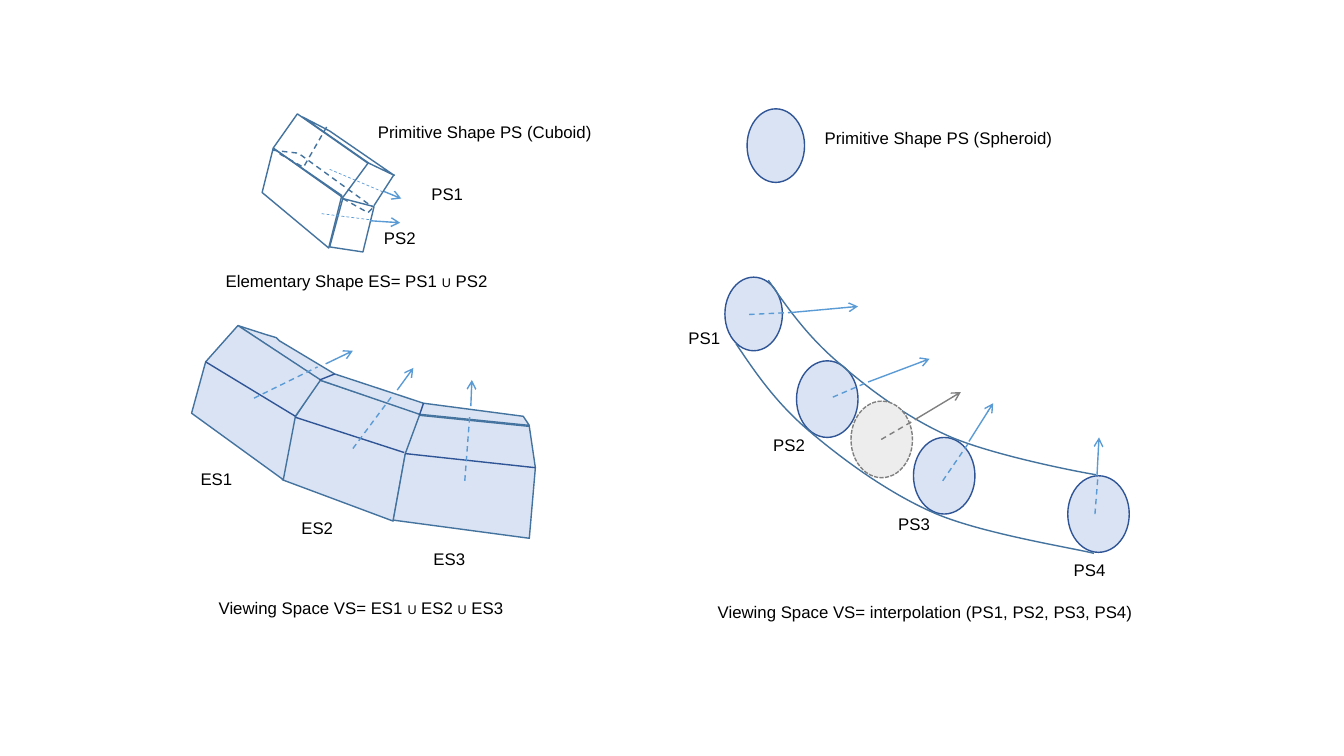
from lxml import etree
from pptx import Presentation
from pptx.dml.color import RGBColor
from pptx.enum.dml import MSO_LINE
from pptx.enum.shapes import MSO_CONNECTOR, MSO_SHAPE
from pptx.enum.text import MSO_AUTO_SIZE
from pptx.oxml.ns import qn
from pptx.util import Inches, Pt

EDGE = RGBColor(0x43, 0x73, 0x9E)
NAVY = RGBColor(0x2F, 0x55, 0x97)
PALE = RGBColor(0xDA, 0xE3, 0xF3)
SKY = RGBColor(0x5B, 0x9B, 0xD5)
GRAY = RGBColor(0x80, 0x80, 0x80)
SILVER = RGBColor(0xED, 0xED, 0xED)
BLACK = RGBColor(0, 0, 0)

CUBOID_FACES = [
    [(2.71, 1.47), (2.6, 1.91), (3.26, 2.46), (3.39, 1.94)],
    [(2.71, 1.47), (2.95, 1.13), (3.65, 1.62), (3.4, 1.96)],
    [(3, 1.16), (3.27, 1.3), (3.91, 1.74), (3.66, 1.62)],
    [(3.27, 2.45), (3.6, 2.5), (3.71, 2.05), (3.4, 1.97)],
]
CUBOID_EDGE = [(3.91, 1.73), (3.71, 2.04)]
CUBOID_HIDDEN = [
    [(3.4, 1.97), (3.65, 2.11), (3.72, 2.04)],
    [(2.7, 1.49), (2.96, 1.52), (3.69, 2.05), (3.7, 2.05)],
    [(3.24, 1.26), (3.01, 1.66), (2.76, 1.52)],
]
# Back to front: ES2, ES3, the shared top, ES1
VIEWING_SPACE = [
    [(2.8, 4.76), (3.9, 5.17), (4.02, 4.51), (4.18, 4.11), (3.17, 3.77), (2.92, 4.15)],
    [(3.9, 5.16), (5.25, 5.34), (5.31, 4.64), (5.25, 4.23), (4.16, 4.12), (4.02, 4.5)],
    [(2.36, 3.23), (2.64, 3.32), (2.74, 3.35), (2.77, 3.38), (3.32, 3.71), (4.2, 4),
     (5.19, 4.13), (5.25, 4.22), (4.16, 4.11), (3.17, 3.77)],
    [(1.9, 4.1), (2.81, 4.76), (2.93, 4.13), (3.18, 3.77), (2.36, 3.23), (2.04, 3.59)],
]
SPACE_EDGES = [
    [(2.04, 3.59), (2.93, 4.13)], [(2.93, 4.14), (4.01, 4.49)],
    [(4.02, 4.5), (5.31, 4.64)], [(4.16, 4.12), (4.2, 4)],
    [(3.17, 3.77), (3.32, 3.71)],
]

SMALL, LARGE = (0.57, 0.73), (0.61, 0.76)
SPHEROIDS = [
    ((7.41, 1.08), SMALL), ((7.19, 2.75), SMALL), ((7.9, 3.58), LARGE),
    ((9.06, 4.34), LARGE), ((10.59, 4.72), LARGE),
]
INTERPOLATED = ((8.44, 3.98), LARGE)
# Start point, then three Bezier points per segment
ENVELOPE = [
    [(7.62, 2.78), (7.82, 3.07), (8.02, 3.35), (8.33, 3.61), (8.63, 3.87),
     (9.02, 4.16), (9.44, 4.34), (9.87, 4.52), (10.68, 4.68), (10.87, 4.71)],
    [(7.3, 3.41), (7.5, 3.71), (7.7, 4), (8.03, 4.28), (8.36, 4.56),
     (8.82, 4.9), (9.29, 5.1), (9.77, 5.3), (10.66, 5.44), (10.85, 5.49)],
]

# Dashed inner part from and to, arrow from and to, colour, dashed width
RAYS = [
    ((3.27, 1.68), (3.79, 1.9), (3.81, 1.9), (3.98, 1.97), SKY, 0.5),
    ((3.19, 2.12), (3.67, 2.18), (3.67, 2.19), (3.97, 2.21), SKY, 0.5),
    ((2.52, 3.95), (3.15, 3.64), (3.23, 3.61), (3.5, 3.48), SKY, 1),
    ((3.5, 4.45), (3.88, 3.94), (3.94, 3.87), (4.1, 3.65), SKY, 1),
    ((4.61, 4.77), (4.66, 4.11), (4.67, 4.03), (4.68, 3.77), SKY, 1),
    ((7.43, 3.12), (7.85, 3.1), (7.85, 3.1), (8.51, 3.04), SKY, 1),
    ((8.26, 3.94), (8.61, 3.79), (8.61, 3.79), (9.22, 3.56), SKY, 1),
    ((8.74, 4.36), (9.1, 4.15), (9.08, 4.16), (9.53, 3.89), GRAY, 1),
    ((9.35, 4.77), (9.61, 4.39), (9.61, 4.38), (9.85, 4), SKY, 1),
    ((10.86, 5.1), (10.89, 4.72), (10.88, 4.72), (10.9, 4.34), SKY, 1),
]

# Left, top, width, text runs; a lone U is the small union sign
LABELS = [
    (3.65, 1.16, 2.34, ["Primitive Shape PS (Cuboid)"]),
    (4.18, 1.77, 0.52, ["PS1"]),
    (3.71, 2.21, 0.52, ["PS2"]),
    (2.14, 2.64, 2.82, ["Elementary Shape ES= PS1 ", "U", " PS2"]),
    (1.89, 4.6, 0.52, ["ES1"]),
    (2.89, 5.09, 0.52, ["ES2"]),
    (4.2, 5.39, 0.52, ["ES3"]),
    (2.07, 5.88, 3.05, ["Viewing Space VS= ES1 ", "U", " ES2 ", "U", " ES3"]),
    (8.08, 1.22, 2.48, ["Primitive Shape PS (Spheroid)"]),
    (6.73, 3.2, 0.52, ["PS1"]),
    (7.57, 4.26, 0.52, ["PS2"]),
    (8.81, 5.05, 0.52, ["PS3"]),
    (10.55, 5.5, 0.52, ["PS4"]),
    (7.02, 5.92, 4.35, ["Viewing Space VS= interpolation (PS1, PS2, PS3, PS4)"]),
]


def set_line(s, color, width=1, dash=None):
    s.line.color.rgb = color
    s.line.width = Pt(width)
    if dash:
        s.line.dash_style = dash


def set_fill(s, color):
    s.shadow.inherit = False
    if color is None:
        s.fill.background()
    else:
        s.fill.solid()
        s.fill.fore_color.rgb = color


def add_outline(shapes, points, fill=None, close=False, dash=None):
    pts = [(Inches(x), Inches(y)) for x, y in points]
    builder = shapes.build_freeform(*pts[0])
    builder.add_line_segments(pts[1:], close=close)
    s = builder.convert_to_shape()
    set_fill(s, fill)
    set_line(s, EDGE, dash=dash)
    return s


def add_curve(shapes, points):
    """Draw an outline, then turn each three line steps into one Bezier segment."""
    s = add_outline(shapes, points)
    steps = list(s._element.iter(qn("a:lnTo")))
    for i in range(0, len(steps), 3):
        bezier = etree.Element(qn("a:cubicBezTo"))
        steps[i].addprevious(bezier)
        for step in steps[i:i + 3]:
            bezier.append(step[0])
            step.getparent().remove(step)


def add_line(shapes, start, end, color, width=1, dash=None, arrow=False):
    s = shapes.add_connector(MSO_CONNECTOR.STRAIGHT, *map(Inches, start + end))
    set_line(s, color, width, dash)
    if arrow:
        etree.SubElement(s.line._get_or_add_ln(), qn("a:tailEnd"), type="arrow")
    etree.SubElement(s._element.spPr, qn("a:effectLst"))


def add_spheroid(shapes, corner, size, fill=PALE, line=NAVY, dash=None):
    s = shapes.add_shape(MSO_SHAPE.OVAL, *map(Inches, corner + size))
    set_fill(s, fill)
    set_line(s, line, dash=dash)


def add_label(shapes, left, top, width, runs):
    tf = shapes.add_textbox(Inches(left), Inches(top), Inches(width), Inches(0.3)).text_frame
    tf.word_wrap = False
    tf.auto_size = MSO_AUTO_SIZE.SHAPE_TO_FIT_TEXT
    for text in runs:
        r = tf.paragraphs[0].add_run()
        r.text = text
        r.font.name = "Arial"
        r.font.size = Pt(9 if text == "U" else 12)
        r.font.color.rgb = BLACK


def main():
    prs = Presentation()
    prs.slide_width, prs.slide_height = Inches(13.33), Inches(7.5)
    shapes = prs.slides.add_slide(prs.slide_layouts[6]).shapes

    for face in CUBOID_FACES:
        add_outline(shapes, face, close=True)
    add_outline(shapes, CUBOID_EDGE)
    for edge in CUBOID_HIDDEN:
        add_outline(shapes, edge, dash=MSO_LINE.DASH)
    for face in VIEWING_SPACE:
        add_outline(shapes, face, fill=PALE, close=True)
    for start, end in SPACE_EDGES:
        add_line(shapes, start, end, NAVY)

    for corner, size in SPHEROIDS:
        add_spheroid(shapes, corner, size)
    for curve in ENVELOPE:
        add_curve(shapes, curve)
    add_spheroid(shapes, *INTERPOLATED, SILVER, GRAY, MSO_LINE.SQUARE_DOT)

    for inner, surface, start, tip, color, width in RAYS:
        add_line(shapes, inner, surface, color, width, MSO_LINE.DASH)
        add_line(shapes, start, tip, color, arrow=True)
    for label in LABELS:
        add_label(shapes, *label)
    prs.save("out.pptx")


if __name__ == "__main__":
    main()
